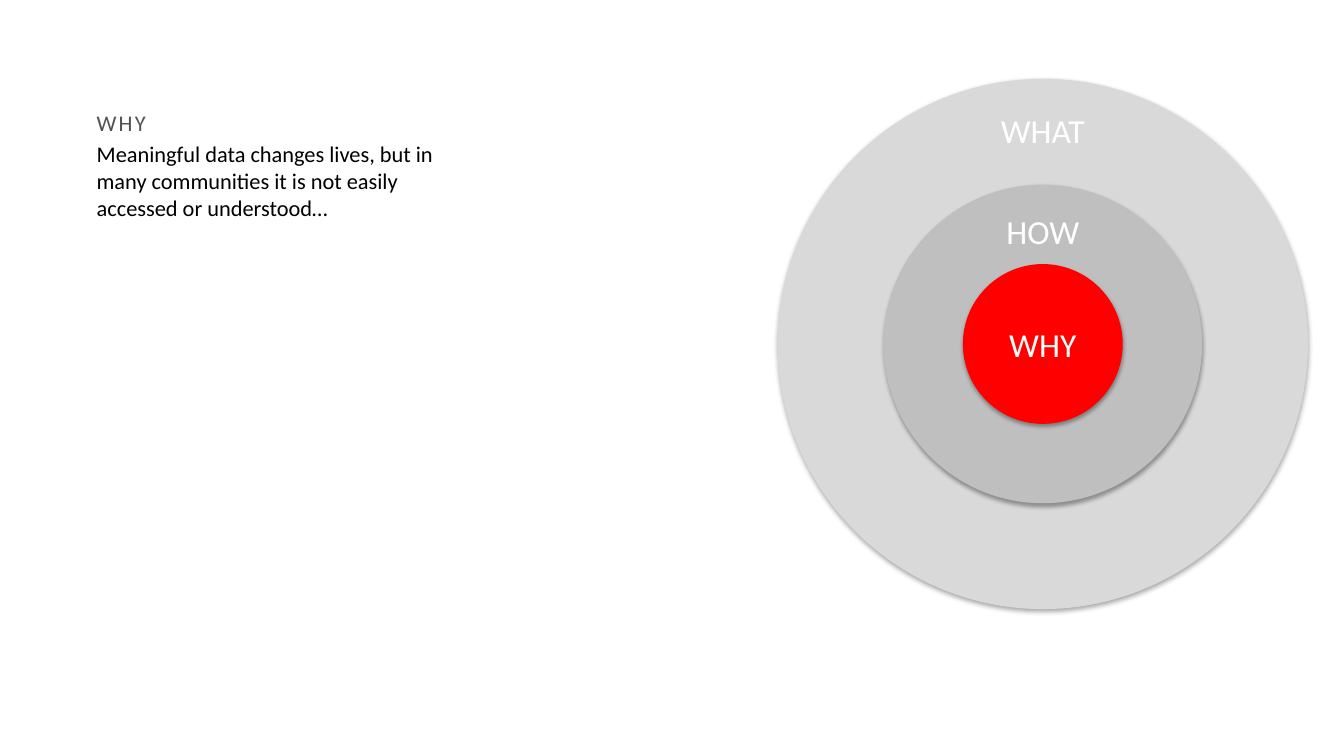
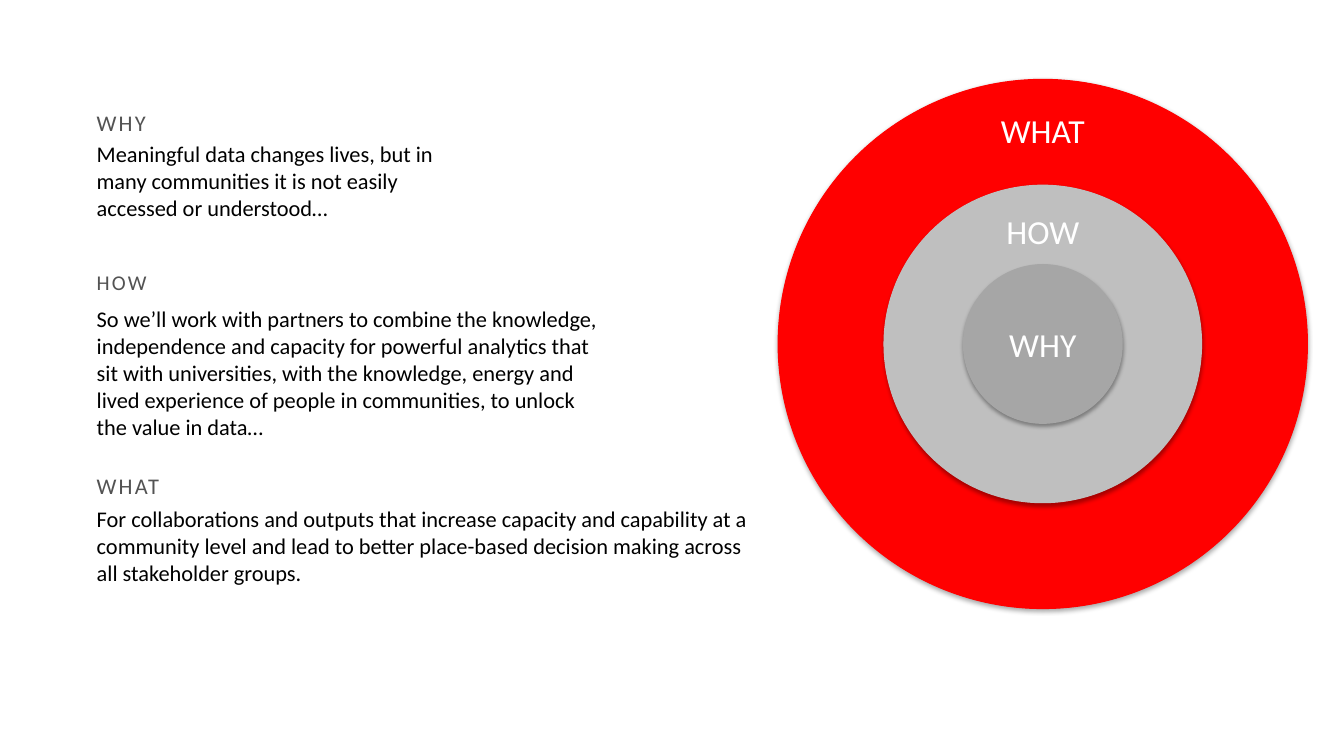
from lxml import etree
from pptx import Presentation
from pptx.dml.color import RGBColor
from pptx.enum.shapes import MSO_SHAPE as SHAPE
from pptx.enum.text import MSO_ANCHOR as ANCHOR, PP_ALIGN as ALIGN
from pptx.oxml.ns import qn
from pptx.util import Inches, Pt

# Shared style
FONT = "Calibri"
RED, WHITE, BLACK, HEADING = "FF0000", "FFFFFF", "000000", "535353"
LIGHT, MID, DARK = "D9D9D9", "BFBFBF", "A6A6A6"

# Grid: square cells, 127 columns across the slide
CELL = 0.105
LEFT = 8.2
CENTRE = (98.5, 32.5)
WHAT_SIZE, HOW_SIZE, WHY_SIZE = 50, 30, 15
HEADING_WIDTH = 10.4


def color(hex_string):
    return RGBColor.from_string(hex_string)


def cells(*counts):
    return [Inches(count * CELL) for count in counts]


class Deck:
    """Holds the style and the current slide."""

    def __init__(self):
        self.prs = Presentation()
        self.prs.slide_width, self.prs.slide_height = Inches(13.33), Inches(7.5)
        self.slide = None

    def new_slide(self):
        self.slide = self.prs.slides.add_slide(self.prs.slide_layouts[6])

    def set_text(self, tf, text, size, hex_string, align=ALIGN.LEFT, spacing=0):
        tf.word_wrap = True
        tf.text = text
        p = tf.paragraphs[0]
        p.alignment = align
        r = p.runs[0]
        r.font.name, r.font.size = FONT, Pt(size)
        r.font.color.rgb = color(hex_string)
        if spacing:
            r._r.get_or_add_rPr().set("spc", str(int(spacing * 100)))

    def text(self, x, y, width, height, *args, **style):
        box = self.slide.shapes.add_textbox(*cells(x, y, width, height))
        self.set_text(box.text_frame, *args, **style)

    def shadow(self, sp):
        sp.shadow.inherit = False
        effects = sp._element.spPr.find(qn("a:effectLst"))
        outer = etree.SubElement(effects, qn("a:outerShdw"), {
            "blurRad": str(Pt(3.1)), "dist": str(Pt(1.8)),
            "dir": "5400000", "rotWithShape": "0"})
        shade = etree.SubElement(outer, qn("a:srgbClr"), val=BLACK)
        etree.SubElement(shade, qn("a:alpha"), val="35000")

    def circle(self, size, hex_string):
        x, y = (middle - size / 2 for middle in CENTRE)
        sp = self.slide.shapes.add_shape(SHAPE.OVAL, *cells(x, y, size, size))
        sp.fill.solid()
        sp.fill.fore_color.rgb = sp.line.color.rgb = color(hex_string)
        sp.line.width = Pt(0.75)
        self.shadow(sp)
        return sp

    def golden_circle(self, what, how, why):
        self.circle(WHAT_SIZE, what)
        self.circle(HOW_SIZE, how)
        core = self.circle(WHY_SIZE, why)
        core.text_frame.vertical_anchor = ANCHOR.MIDDLE
        self.set_text(core.text_frame, "WHY", 24, WHITE, ALIGN.CENTER)
        for label, top in (("HOW", 19.5), ("WHAT", 9.9)):
            self.text(CENTRE[0] - WHY_SIZE / 2, top, WHY_SIZE, 4.8,
                      label, 24, WHITE, align=ALIGN.CENTER)

    def section(self, heading, heading_top, heading_size, body, top, width, height):
        self.text(LEFT, top, width, height, body, 16, BLACK)
        self.text(LEFT, heading_top, HEADING_WIDTH, 3.5,
                  heading, heading_size, HEADING, spacing=1.6)


# Heading, its top and size; body, its top, width and height
SECTIONS = [
    ("WHY", 9.8, 16,
     "Meaningful data changes lives, but in many communities it is not easily "
     "accessed or understood…", 12.8, 35.8, 8.7),
    ("HOW", 25, 15,
     "So we’ll work with partners to combine the knowledge, independence and "
     "capacity for powerful analytics that sit with universities, with the "
     "knowledge, energy and lived experience of people in communities, to "
     "unlock the value in data…", 28.4, 50, 13.8),
    ("WHAT", 44.1, 16,
     "For collaborations and outputs that increase capacity and capability at "
     "a community level and lead to better place-based decision making across "
     "all stakeholder groups.", 47.3, 63.5, 8.7),
]

# Ring colours from outside in, and the number of sections shown
SLIDES = [((LIGHT, MID, RED), 1), ((RED, MID, DARK), 3)]


def main():
    deck = Deck()
    for rings, shown in SLIDES:
        deck.new_slide()
        deck.golden_circle(*rings)
        for section in SECTIONS[:shown]:
            deck.section(*section)
    deck.prs.save("out.pptx")


if __name__ == "__main__":
    main()
